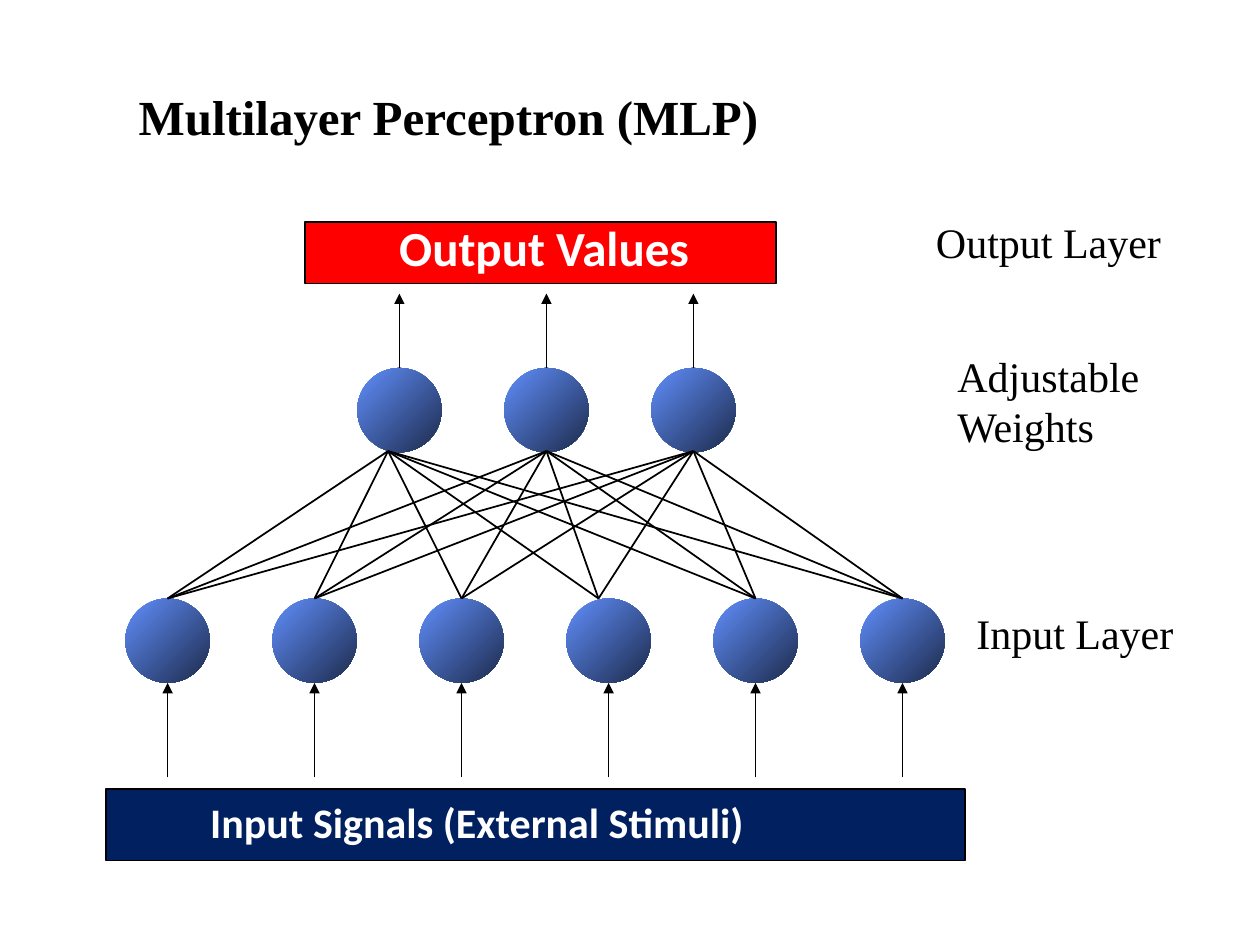
"""Build a slide that shows the layers of a multilayer perceptron."""
from lxml import etree
from pptx import Presentation
from pptx import util as u
from pptx.dml import color
from pptx.enum import shapes, text
from pptx.oxml import ns

THEME = {
    "ink": color.RGBColor.from_string("000000"),
    "paper": color.RGBColor.from_string("FFFFFF"),
    "output": color.RGBColor.from_string("FF0000"),
    "input": color.RGBColor.from_string("002060"),
    "neuron": [color.RGBColor.from_string(c) for c in ("618FFD", "1D2B4B")],
    "serif": "Times New Roman",
    "sans": "Calibri",
    "large": u.Pt(28),
    "medium": u.Pt(24),
    "line": u.Pt(1),
}


def write(holder, box, words, font="serif", size="medium", ink="ink", bold=False,
          anchor=text.MSO_ANCHOR.TOP):
    holder.left, holder.top, holder.width, holder.height = map(u.Inches, box)
    frame = holder.text_frame
    frame.text = words
    frame.word_wrap = True
    frame.vertical_anchor = anchor
    for paragraph in frame.paragraphs:
        paragraph.alignment = text.PP_ALIGN.LEFT
        style = paragraph.runs[0].font
        style.name, style.size, style.bold = THEME[font], THEME[size], bold
        style.color.rgb = THEME[ink]


def connect(start, end, arrow=False):
    link = slide.shapes.add_connector(
        shapes.MSO_CONNECTOR.STRAIGHT, *map(u.Inches, (*start, *end)))
    link.line.color.rgb = THEME["ink"]
    link.line.width = THEME["line"]
    if arrow:
        etree.SubElement(link.line._get_or_add_ln(), ns.qn("a:tailEnd"), type="triangle")
    etree.SubElement(link._element.spPr, ns.qn("a:effectLst"))


deck = Presentation()
deck.slide_width, deck.slide_height = u.Inches(10), u.Inches(7.5)
slide = deck.slides.add_slide(deck.slide_layouts[5])
write(slide.shapes.title, (1, 0.42, 9, 1), "Multilayer Perceptron (MLP)",
      size="large", bold=True, anchor=text.MSO_ANCHOR.MIDDLE)

for fill, box in (("input", (0.84, 6.26, 6.82, 0.57)),
                  ("output", (2.42, 1.76, 3.74, 0.49))):
    bar = slide.shapes.add_shape(shapes.MSO_SHAPE.RECTANGLE, *map(u.Inches, box))
    bar.shadow.inherit = False
    bar.fill.solid()
    bar.fill.fore_color.rgb = THEME[fill]
    bar.line.color.rgb = THEME["ink"]
    bar.line.width = THEME["line"]

diameter = 0.67
pitch = 3.5 / 3
output_top, input_top = 2.92, 4.75
output_centers = [3.17 + pitch * i for i in range(3)]
input_centers = [1.33 + pitch * i for i in range(6)]

for centers, top in ((output_centers, output_top), (input_centers, input_top)):
    for center in centers:
        neuron = slide.shapes.add_shape(
            shapes.MSO_SHAPE.OVAL, u.Inches(center - diameter / 2), u.Inches(top),
            u.Inches(diameter), u.Inches(diameter))
        neuron.shadow.inherit = False
        neuron.fill.gradient()
        neuron.fill.gradient_angle = 315
        for stop, shade in zip(neuron.fill.gradient_stops, THEME["neuron"]):
            stop.color.rgb = shade
        neuron.line.fill.background()

weight_tops = [3.08, *output_centers[1:]]
weight_feet = [*input_centers[:3], 4.75, *input_centers[4:]]
for upper in weight_tops:
    for lower in weight_feet:
        connect((upper, 3.58), (lower, input_top))

for center in output_centers:
    connect((center, output_top), (center, 2.33), arrow=True)
for center in input_centers:
    connect((center, 6.17), (center, 5.42), arrow=True)

on_bar = {"font": "sans", "ink": "paper", "bold": True}
for words, box, look in (
    ("Output Values", (3.07, 1.68, 2.97, 0.56), {**on_bar, "size": "large"}),
    ("Input Signals (External Stimuli)", (1.57, 6.27, 5.52, 0.5), on_bar),
    ("Output Layer", (7.33, 1.67, 2.47, 0.5), {}),
    ("Adjustable\nWeights", (7.5, 2.73, 2.17, 0.91), {}),
    ("Input Layer", (7.65, 4.77, 1.85, 0.5), {}),
):
    write(slide.shapes.add_textbox(0, 0, 0, 0), box, words, **look)

deck.save("out.pptx")
